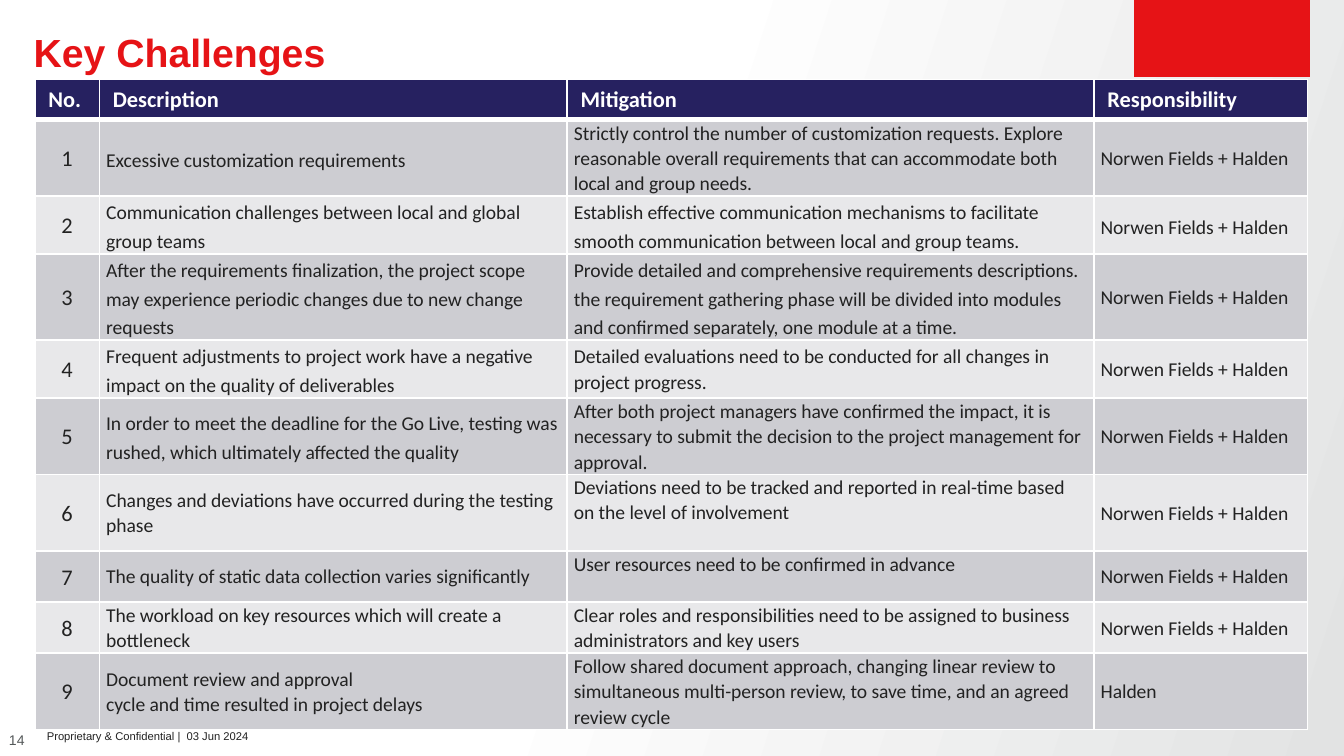
"""Build the Key Challenges slide with its mitigation table."""
import pptx
import pptx.dml.color
import pptx.enum.shapes
import pptx.enum.text
import pptx.oxml
import pptx.oxml.ns
import pptx.util
from pptx.util import Inches

ALIGN = pptx.enum.text.PP_ALIGN
ANCHOR = pptx.enum.text.MSO_ANCHOR


def color(value):
    return pptx.dml.color.RGBColor.from_string(value)


def write_text(frame, text, size, font="Calibri", fill="222222", bold=False,
               align=ALIGN.LEFT, spacing=1.0, anchor=ANCHOR.TOP, margins=(0, 0)):
    frame.word_wrap = True
    frame.vertical_anchor = anchor
    frame.margin_left = frame.margin_right = Inches(margins[0])
    frame.margin_top = frame.margin_bottom = Inches(margins[1])
    for index, line in enumerate(text.split("\n")):
        paragraph = frame.add_paragraph() if index else frame.paragraphs[0]
        paragraph.alignment = align
        paragraph.line_spacing = spacing
        run = paragraph.add_run()
        run.text = line
        run.font.name = font
        run.font.size = pptx.util.Pt(size)
        run.font.bold = bold
        run.font.color.rgb = color(fill)


presentation = pptx.Presentation()
presentation.slide_width = Inches(10)
presentation.slide_height = Inches(10) * 9 // 16
slide = presentation.slides.add_slide(presentation.slide_layouts[6])

background = slide.background.fill
background.gradient()
background.gradient_angle = 342
for stop, position, value in zip(background.gradient_stops, (0.45, 1), ("FFFFFF", "E2E3E3")):
    stop.position = position
    stop.color.rgb = color(value)

red_block = slide.shapes.add_shape(pptx.enum.shapes.MSO_SHAPE.PARALLELOGRAM,
                                   Inches(8.44), 0, Inches(1.31), Inches(0.57))
red_block.adjustments[0] = 0
red_block.shadow.inherit = False
red_block.fill.solid()
red_block.fill.fore_color.rgb = color("E61316")
red_block.line.fill.background()

title = slide.shapes.add_textbox(Inches(0.25), Inches(0.25), Inches(8), Inches(0.31))
write_text(title.text_frame, "Key Challenges", 21, font="Arial", fill="E61316", bold=True,
           spacing=0.9)

page_number = slide.shapes.add_textbox(0, Inches(5.38), Inches(0.25), Inches(0.25))
write_text(page_number.text_frame, "14", 7.5, font="Arial", fill="545859",
           align=ALIGN.CENTER, anchor=ANCHOR.MIDDLE)

headings = ["No.", "Description", "Mitigation", "Responsibility"]
both_teams = "Norwen Fields + Halden"
challenges = [
    ("Excessive customization requirements",
     "Strictly control the number of customization requests. Explore reasonable overall "
     "requirements that can accommodate both local and group needs.", both_teams),
    ("Communication challenges between local and global group teams",
     "Establish effective communication mechanisms to facilitate smooth communication "
     "between local and group teams.", both_teams),
    ("After the requirements finalization, the project scope may experience periodic "
     "changes due to new change requests",
     "Provide detailed and comprehensive requirements descriptions. the requirement "
     "gathering phase will be divided into modules and confirmed separately, one module "
     "at a time.", both_teams),
    ("Frequent adjustments to project work have a negative impact on the quality of "
     "deliverables",
     "Detailed evaluations need to be conducted for all changes in project progress.",
     both_teams),
    ("In order to meet the deadline for the Go Live, testing was rushed, which ultimately "
     "affected the quality",
     "After both project managers have confirmed the impact, it is necessary to submit the "
     "decision to the project management for approval.", both_teams),
    ("Changes and deviations have occurred during the testing phase",
     "Deviations need to be tracked and reported in real-time based on the level of "
     "involvement", both_teams),
    ("The quality of static data collection varies significantly",
     "User resources need to be confirmed in advance", both_teams),
    ("The workload on key resources which will create a bottleneck",
     "Clear roles and responsibilities need to be assigned to business administrators and "
     "key users", both_teams),
    ("Document review and approval\ncycle and time resulted in project delays",
     "Follow shared document approach, changing linear review to simultaneous multi-person "
     "review, to save time, and an agreed review cycle", "Halden"),
]
rows = [headings] + [(str(number), *texts) for number, texts in enumerate(challenges, 1)]
column_widths = [0.48, 3.48, 3.92, 1.59]
row_heights = [0.3, 0.57, 0.43, 0.64, 0.43, 0.57, 0.57, 0.38, 0.38, 0.57]
loose_cells = {(1, 1), (2, 1), (3, 1), (4, 1), (5, 1), (2, 2), (3, 2), (2, 3)}
top_cells = {(6, 2), (7, 2)}

table = slide.shapes.add_table(len(rows), len(headings), Inches(0.26), Inches(0.59),
                               Inches(sum(column_widths)), Inches(sum(row_heights))).table
for column, width in zip(table.columns, column_widths):
    column.width = Inches(width)
for row, height in zip(table.rows, row_heights):
    row.height = Inches(height)

for row_index, texts in enumerate(rows):
    for column_index, text in enumerate(texts):
        cell = table.cell(row_index, column_index)
        place = (row_index, column_index)
        if row_index == 0:
            row_fill = "262160"
            write_text(cell.text_frame, text, 12, fill="FFFFFF", bold=True)
            cell.margin_left = cell.margin_right = Inches(0.1)
            cell.margin_top = cell.margin_bottom = Inches(0.05)
        else:
            row_fill = "CDCDD2" if row_index % 2 else "E8E8EA"
            write_text(cell.text_frame, text, 10.5 if column_index else 12,
                       align=ALIGN.LEFT if column_index else ALIGN.CENTER,
                       spacing=1.2 if place in loose_cells else 1.07)
            cell.margin_left = cell.margin_right = Inches(0.05)
            cell.margin_top = cell.margin_bottom = 0
            cell.vertical_anchor = ANCHOR.TOP if place in top_cells else ANCHOR.MIDDLE
        cell.fill.solid()
        cell.fill.fore_color.rgb = color(row_fill)
        properties = cell._tc.get_or_add_tcPr()
        for order, side in enumerate("LRTB"):
            points = 3 if (row_index, side) in ((0, "B"), (1, "T")) else 1
            properties.insert(order, pptx.oxml.parse_xml(
                f'<a:ln{side} {pptx.oxml.ns.nsdecls("a")} w="{points * 12700}">'
                f'<a:solidFill><a:srgbClr val="FFFFFF"/></a:solidFill></a:ln{side}>'))

footer = slide.shapes.add_textbox(Inches(0.25), Inches(5.38), Inches(4.75), Inches(0.25))
write_text(footer.text_frame, "Proprietary & Confidential |  03 Jun 2024", 6, font="Arial",
           margins=(0.1, 0.05))

presentation.save("out.pptx")
